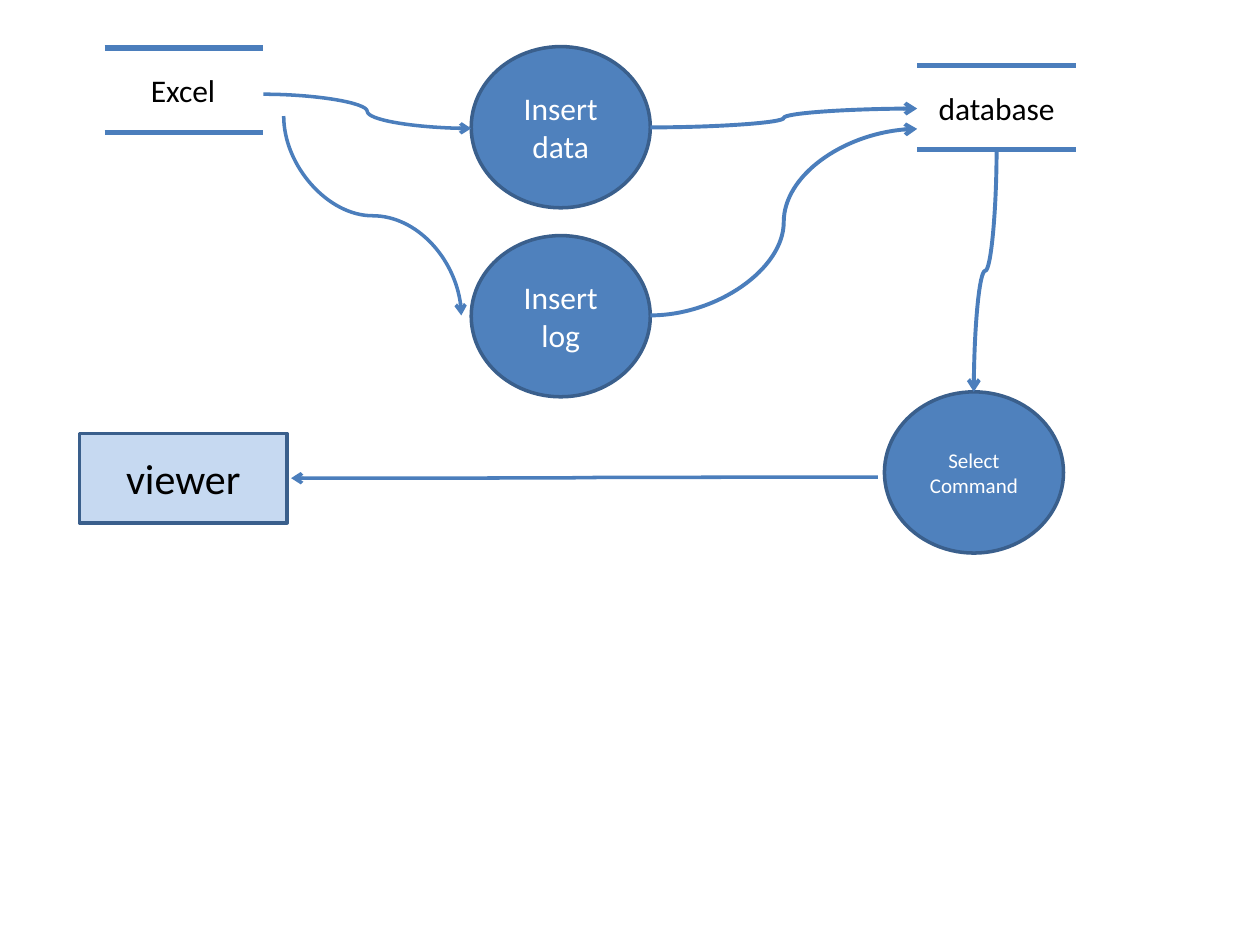
from dataclasses import dataclass

from lxml.etree import SubElement
from pptx import Presentation
from pptx.dml.color import RGBColor
from pptx.enum.shapes import MSO_CONNECTOR, MSO_SHAPE
from pptx.enum.text import MSO_ANCHOR, MSO_AUTO_SIZE, PP_ALIGN
from pptx.oxml.ns import qn
from pptx.util import Cm, Pt


@dataclass(frozen=True)
class Theme:
    font: str = "Calibri"
    black: RGBColor = RGBColor(0x00, 0x00, 0x00)
    white: RGBColor = RGBColor(0xFF, 0xFF, 0xFF)
    process_fill: RGBColor = RGBColor(0x4F, 0x81, 0xBD)
    viewer_fill: RGBColor = RGBColor(0xC6, 0xD9, 0xF1)
    outline: RGBColor = RGBColor(0x3A, 0x5F, 0x8C)
    flow: RGBColor = RGBColor(0x4B, 0x7E, 0xBC)
    small: int = 12
    body: int = 18
    large: int = 24
    thin: float = 2
    medium: float = 2.25
    thick: float = 3


THEME = Theme()
STORE_WIDTH, STORE_HEIGHT = 3.2, 1.7
PROCESS_WIDTH, PROCESS_HEIGHT = 3.61, 3.25


def write_lines(frame, lines, size, color, align):
    for index, line in enumerate(lines):
        paragraph = frame.add_paragraph() if index else frame.paragraphs[0]
        paragraph.alignment = align
        run = paragraph.add_run()
        run.text = line
        run.font.name = THEME.font
        run.font.size = Pt(size)
        run.font.color.rgb = color


def add_node(slide, kind, box, lines, size, fill, color):
    node = slide.shapes.add_shape(kind, *map(Cm, box))
    node.shadow.inherit = False
    node.fill.solid()
    node.fill.fore_color.rgb = fill
    node.line.color.rgb = THEME.outline
    node.line.width = Pt(THEME.thin)
    node.text_frame.word_wrap = True
    node.text_frame.vertical_anchor = MSO_ANCHOR.MIDDLE
    write_lines(node.text_frame, lines, size, color, PP_ALIGN.CENTER)


def add_process(slide, left, top, lines, size=THEME.body):
    box = (left, top, PROCESS_WIDTH, PROCESS_HEIGHT)
    add_node(slide, MSO_SHAPE.FLOWCHART_CONNECTOR, box, lines, size,
             THEME.process_fill, THEME.white)


def add_line(slide, kind, start, end, weight):
    line = slide.shapes.add_connector(kind, *map(Cm, (*start, *end)))
    line.line.color.rgb = THEME.flow
    line.line.width = Pt(weight)
    SubElement(line._element.spPr, qn("a:effectLst"))
    return line


def add_flow(slide, start, end, weight):
    flow = add_line(slide, MSO_CONNECTOR.CURVE, start, end, weight)
    SubElement(flow.line._get_or_add_ln(), qn("a:tailEnd"), type="arrow")
    return flow


def add_downward_flow(slide, start, end, weight):
    (x1, y1), (x2, y2) = start, end
    middle_x, middle_y = (x1 + x2) / 2, (y1 + y2) / 2
    turn = -1 if x2 > x1 else 1
    along, across = turn * (y2 - y1) / 2, abs(x2 - x1) / 2
    flow = add_flow(slide, (middle_x - along, middle_y - across),
                    (middle_x + along, middle_y + across), weight)
    flow._element.spPr.xfrm.set("rot", str(turn * 90 % 360 * 60000))


def add_store(slide, left, top, name, label_box):
    for y in (top, top + STORE_HEIGHT):
        add_line(slide, MSO_CONNECTOR.STRAIGHT, (left, y),
                 (left + STORE_WIDTH, y), THEME.thick)
    label = slide.shapes.add_textbox(*map(Cm, label_box))
    label.text_frame.word_wrap = False
    label.text_frame.auto_size = MSO_AUTO_SIZE.SHAPE_TO_FIT_TEXT
    write_lines(label.text_frame, [name], THEME.body, THEME.black, PP_ALIGN.LEFT)


def main():
    deck = Presentation()
    deck.slide_width, deck.slide_height = Cm(25.4), Cm(19.05)
    slide = deck.slides.add_slide(deck.slide_layouts[6])

    add_node(slide, MSO_SHAPE.RECTANGLE, (1.6, 8.74, 4.19, 1.8), ["viewer"],
             THEME.large, THEME.viewer_fill, THEME.black)
    add_store(slide, 2.11, 0.97, "Excel", (2.79, 1.3, 1.83, 1.02))
    add_store(slide, 18.49, 1.32, "database", (18.67, 1.68, 2.87, 1.02))
    add_process(slide, 9.5, 0.94, ["Insert", "data"])
    add_process(slide, 9.5, 4.75, ["Insert", "log"])
    add_process(slide, 17.83, 7.9, ["Select Command"], THEME.small)

    add_flow(slide, (5.31, 1.9), (9.5, 2.59), THEME.thin)
    add_flow(slide, (13.11, 2.57), (18.49, 2.19), THEME.medium)
    add_flow(slide, (13.11, 6.36), (18.49, 2.6), THEME.medium)
    add_flow(slide, (17.7, 9.62), (5.87, 9.64), THEME.thin)
    add_downward_flow(slide, (5.72, 2.34), (9.3, 6.36), THEME.thin)
    add_downward_flow(slide, (20.09, 3.02), (19.63, 7.9), THEME.medium)

    deck.save("out.pptx")


if __name__ == "__main__":
    main()
